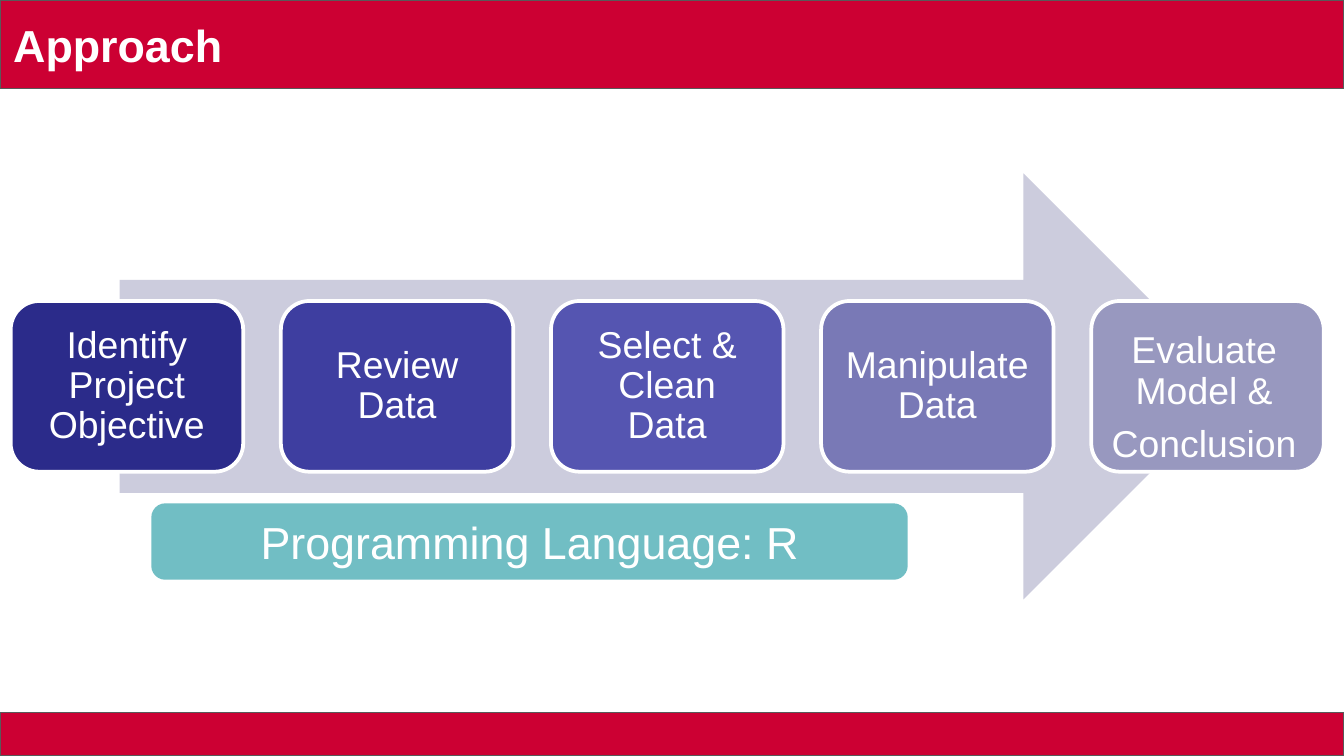
from dataclasses import dataclass

from pptx import Presentation
from pptx.dml.color import RGBColor
from pptx.enum import shapes, text
from pptx.util import Inches, Pt

WHITE = RGBColor(0xFF, 0xFF, 0xFF)
RED = RGBColor(0xCC, 0x00, 0x33)
GRAY = RGBColor(0x59, 0x59, 0x59)
LAVENDER = RGBColor(0xCC, 0xCC, 0xDD)
TEAL = RGBColor(0x71, 0xBE, 0xC4)
NAVY = RGBColor(0x2B, 0x2B, 0x8A)
INDIGO = RGBColor(0x3E, 0x3E, 0xA0)
VIOLET = RGBColor(0x55, 0x55, 0xB1)
PERIWINKLE = RGBColor(0x79, 0x79, 0xB6)
MIST = RGBColor(0x98, 0x98, 0xBF)

BOX = shapes.MSO_SHAPE.FLOWCHART_PROCESS
ARROW = shapes.MSO_SHAPE.RIGHT_ARROW
ROUNDED = shapes.MSO_SHAPE.ROUNDED_RECTANGLE
LEFT = text.PP_ALIGN.LEFT
CENTER = text.PP_ALIGN.CENTER

SLIDE_WIDTH = 10
SLIDE_HEIGHT = SLIDE_WIDTH * 9 / 16
STEP_LEFT, STEP_TOP, STEP_PITCH = 0.08, 2.24, 2.01
STEP_WIDTH, STEP_HEIGHT = 1.73, 1.27


@dataclass(frozen=True)
class Step:
    lines: tuple[str, ...]
    fill: RGBColor
    insets: tuple[float, float, float, float] = (0.12, 0.08, 0.12, 0.08)


STEPS = (
    Step(("Identify Project Objective",), NAVY),
    Step(("Review Data",), INDIGO),
    Step(("Select & Clean Data",), VIOLET),
    Step(("Manipulate Data",), PERIWINKLE),
    Step(("Evaluate Model &", "Conclusion"), MIST, (0, 0.26, 0.05, 0.08)),
)


def add_block(s, kind, left: float, top: float, width: float, height: float,
              fill: RGBColor, line: RGBColor | None = None, weight: float = 2):
    sp = s.shapes.add_shape(kind, Inches(left), Inches(top), Inches(width), Inches(height))
    sp.shadow.inherit = False
    sp.fill.solid()
    sp.fill.fore_color.rgb = fill
    if line is None:
        sp.line.fill.background()
    else:
        sp.line.color.rgb = line
        sp.line.width = Pt(weight)
    return sp


def write(sp, *lines: str, size: float, bold: bool = False, align=CENTER,
          spacing: float = 1.0, gap: float = 0,
          insets: tuple[float, float, float, float] = (0.1, 0.05, 0.1, 0.05)) -> None:
    tf = sp.text_frame
    tf.word_wrap = True
    tf.vertical_anchor = text.MSO_ANCHOR.MIDDLE
    tf.margin_left, tf.margin_top, tf.margin_right, tf.margin_bottom = map(Inches, insets)
    for i, line in enumerate(lines):
        p = tf.add_paragraph() if i else tf.paragraphs[0]
        p.alignment = align
        p.line_spacing = spacing
        if i:
            p.space_before = Pt(gap)
        r = p.add_run()
        r.text = line
        r.font.name = "Arial"
        r.font.size = Pt(size)
        r.font.bold = bold
        r.font.color.rgb = WHITE


def add_step(s, index: int, step: Step) -> None:
    sp = add_block(s, ROUNDED, STEP_LEFT + index * STEP_PITCH, STEP_TOP,
                   STEP_WIDTH, STEP_HEIGHT, step.fill, WHITE)
    write(sp, *step.lines, size=20, spacing=0.9, gap=7, insets=step.insets)


def main() -> None:
    prs = Presentation()
    prs.slide_width, prs.slide_height = Inches(SLIDE_WIDTH), Inches(SLIDE_HEIGHT)
    s = prs.slides.add_slide(prs.slide_layouts[6])

    header = add_block(s, BOX, 0, 0, SLIDE_WIDTH, 0.66, RED, GRAY, 0.75)
    write(header, "Approach", size=24, bold=True, align=LEFT, insets=(0.1, 0.1, 0.1, 0.1))
    add_block(s, BOX, 0, 5.3, SLIDE_WIDTH, 0.32, RED, GRAY, 0.75)

    add_block(s, ARROW, 0.89, 1.29, 8.31, 3.17, LAVENDER)
    for i, step in enumerate(STEPS):
        add_step(s, i, step)

    language = add_block(s, ROUNDED, 1.14, 3.76, 5.6, 0.54, TEAL, TEAL)
    write(language, "Programming Language: R", size=24)

    prs.save("out.pptx")


if __name__ == "__main__":
    main()
